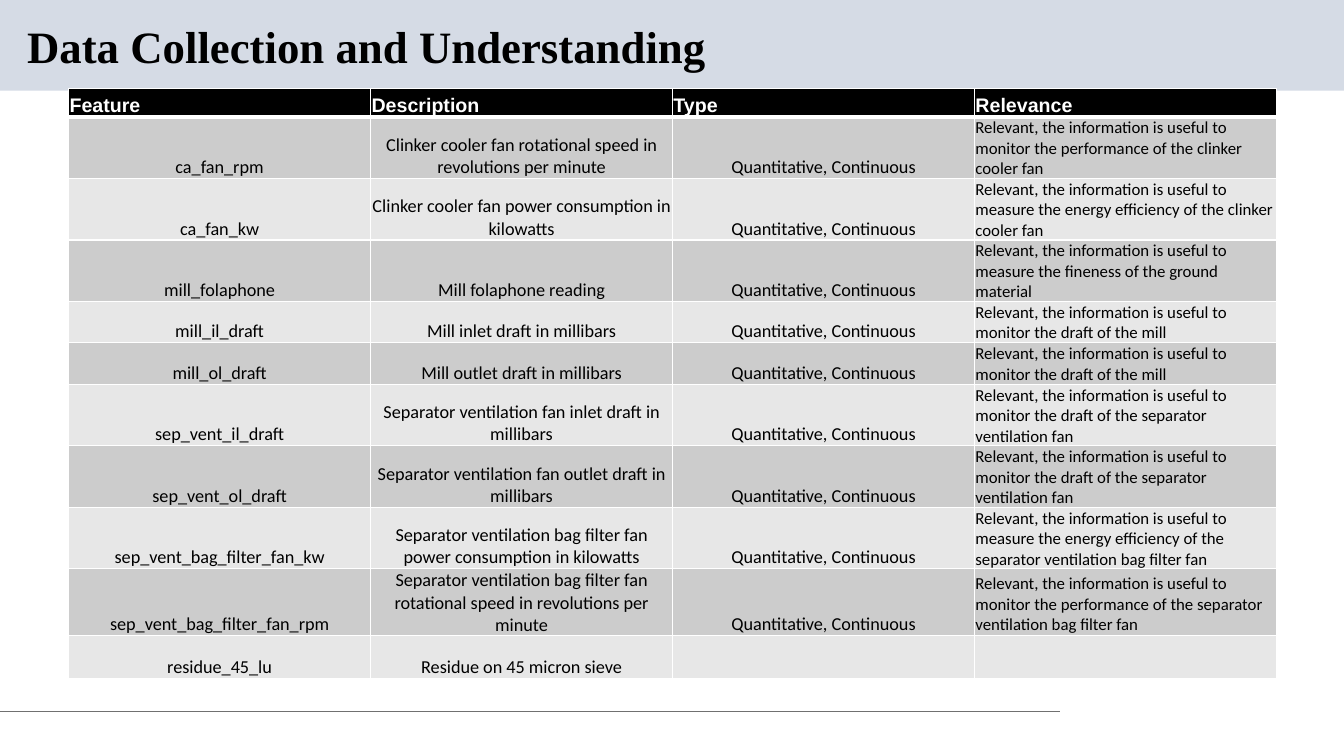
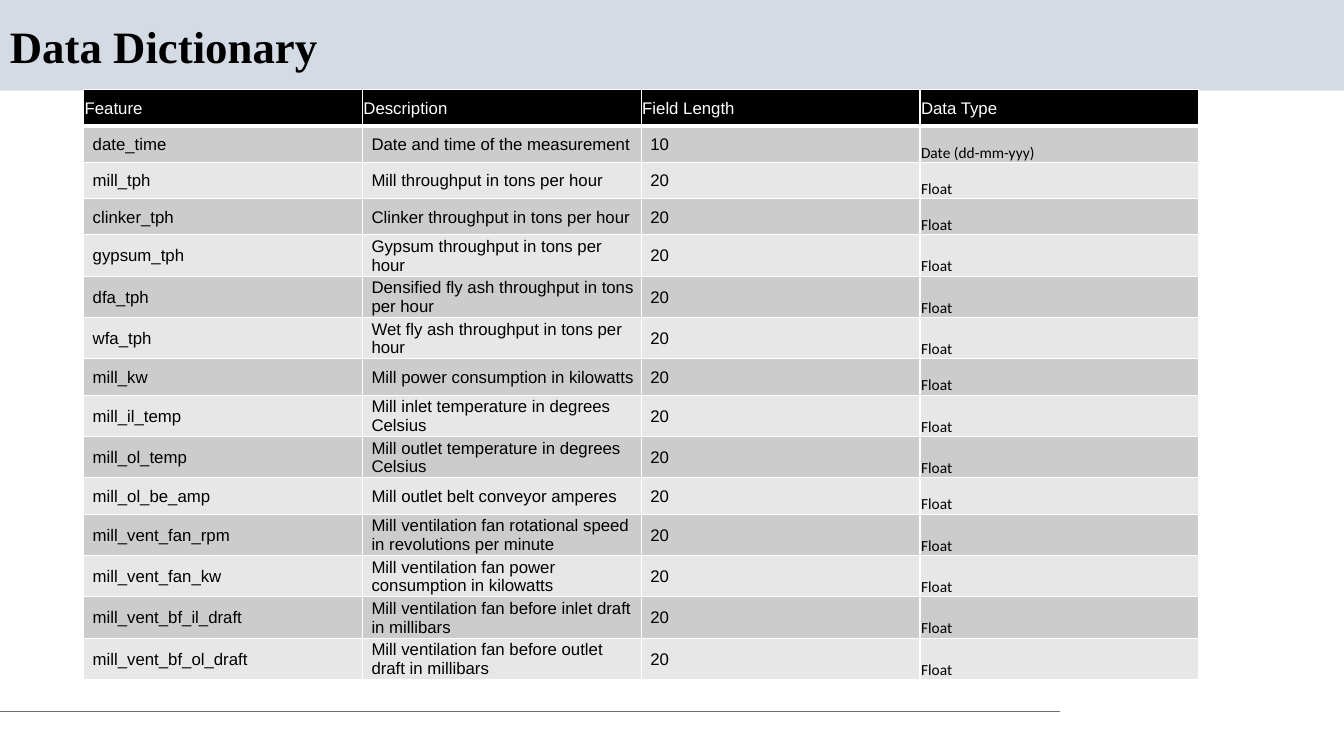
from dataclasses import dataclass

from pptx import Presentation
from pptx.dml.color import RGBColor
from pptx.enum.shapes import MSO_CONNECTOR, MSO_SHAPE
from pptx.enum.text import MSO_ANCHOR, PP_ALIGN
from pptx.oxml import parse_xml
from pptx.oxml.ns import nsdecls
from pptx.util import Inches, Pt

QUANT = "Quantitative, Continuous"
USE = "Relevant, the information is useful to "

FEATURES = [
    ("Feature", "Description", "Type", "Relevance"),
    ("ca_fan_rpm", "Clinker cooler fan rotational speed in revolutions per minute",
     QUANT, USE + "monitor the performance of the clinker cooler fan"),
    ("ca_fan_kw", "Clinker cooler fan power consumption in kilowatts",
     QUANT, USE + "measure the energy efficiency of the clinker cooler fan"),
    ("mill_folaphone", "Mill folaphone reading",
     QUANT, USE + "measure the fineness of the ground material"),
    ("mill_il_draft", "Mill inlet draft in millibars",
     QUANT, USE + "monitor the draft of the mill"),
    ("mill_ol_draft", "Mill outlet draft in millibars",
     QUANT, USE + "monitor the draft of the mill"),
    ("sep_vent_il_draft", "Separator ventilation fan inlet draft in millibars",
     QUANT, USE + "monitor the draft of the separator ventilation fan"),
    ("sep_vent_ol_draft", "Separator ventilation fan outlet draft in millibars",
     QUANT, USE + "monitor the draft of the separator ventilation fan"),
    ("sep_vent_bag_filter_fan_kw",
     "Separator ventilation bag filter fan power consumption in kilowatts",
     QUANT, USE + "measure the energy efficiency of the separator ventilation bag filter fan"),
    ("sep_vent_bag_filter_fan_rpm",
     "Separator ventilation bag filter fan rotational speed in revolutions per minute",
     QUANT, USE + "monitor the performance of the separator ventilation bag filter fan"),
    ("residue_45_lu", "Residue on 45 micron sieve", "", ""),
]
FEATURE_ROWS = [0.28, 0.61, 0.61, 0.61, 0.41, 0.41, 0.61, 0.61, 0.61, 0.65, 0.43]

FLOATS = [
    ("mill_tph", "Mill throughput in tons per hour"),
    ("clinker_tph", "Clinker throughput in tons per hour"),
    ("gypsum_tph", "Gypsum throughput in tons per hour"),
    ("dfa_tph", "Densified fly ash throughput in tons per hour"),
    ("wfa_tph", "Wet fly ash throughput in tons per hour"),
    ("mill_kw", "Mill power consumption in kilowatts"),
    ("mill_il_temp", "Mill inlet temperature in degrees Celsius"),
    ("mill_ol_temp", "Mill outlet temperature in degrees Celsius"),
    ("mill_ol_be_amp", "Mill outlet belt conveyor amperes"),
    ("mill_vent_fan_rpm", "Mill ventilation fan rotational speed in revolutions per minute"),
    ("mill_vent_fan_kw", "Mill ventilation fan power consumption in kilowatts"),
    ("mill_vent_bf_il_draft", "Mill ventilation fan before inlet draft in millibars"),
    ("mill_vent_bf_ol_draft", "Mill ventilation fan before outlet draft in millibars"),
]
FIELDS = [
    ("Feature", "Description", "Field Length", "Data Type"),
    ("date_time", "Date and time of the measurement", "10", "Date (dd-mm-yyy)"),
    *[(name, about, "20", "Float") for name, about in FLOATS],
]
FIELD_ROWS = [0.41 if len(row[1]) > 35 else 0.36 for row in FIELDS]


@dataclass(frozen=True)
class Theme:
    band: str = "D5DBE5"
    rule: str = "707070"
    head: str = "000000"
    ink: str = "000000"
    light: str = "FFFFFF"
    stripes: tuple = ("CCCCCC", "E7E7E7")
    title_font: str = "Times New Roman"
    title_size: int = 32
    thin: int = 1
    thick: int = 3


THEME = Theme()


@dataclass(frozen=True)
class Style:
    font: str
    size: int
    color: str = THEME.ink
    bold: bool = False
    align: PP_ALIGN = PP_ALIGN.LEFT
    anchor: MSO_ANCHOR = MSO_ANCHOR.BOTTOM
    left: float = 0.01


NAME = Style("Calibri", 13, align=PP_ALIGN.CENTER)
FEATURE_HEAD = Style("Arial", 14, THEME.light, bold=True)
FEATURE_BODY = [NAME, NAME, NAME, Style("Calibri", 12)]
FIELD = Style("Arial", 12, anchor=MSO_ANCHOR.MIDDLE, left=0.09)
FIELD_HEAD = Style("Arial", 12, THEME.light, anchor=MSO_ANCHOR.MIDDLE)
FIELD_BODY = [FIELD, FIELD, FIELD, Style("Calibri", 11)]


def color(code):
    return RGBColor.from_string(code)


def write(frame, text, style):
    frame.text = text
    para = frame.paragraphs[0]
    para.alignment = style.align
    for run in para.runs:
        font = run.font
        font.name, font.size, font.bold = style.font, Pt(style.size), style.bold
        font.color.rgb = color(style.color)


def add_base(deck, title, left):
    """Add a slide with the shared band, footer rule and title."""
    slide = deck.slides.add_slide(deck.slide_layouts[6])
    shapes = slide.shapes
    band = shapes.add_shape(MSO_SHAPE.RECTANGLE, 0, 0, deck.slide_width, Inches(0.9))
    band.shadow.inherit = False
    band.fill.solid()
    band.fill.fore_color.rgb = color(THEME.band)
    band.line.fill.background()

    rule = shapes.add_connector(
        MSO_CONNECTOR.STRAIGHT, 0, Inches(7.06), Inches(10.51), Inches(7.06))
    rule.line.color.rgb = color(THEME.rule)
    rule.line.width = Pt(0.75)
    rule._element.spPr.append(parse_xml(f"<a:effectLst {nsdecls('a')}/>"))

    box = shapes.add_textbox(Inches(left), Inches(0.19), Inches(11.5), Inches(0.59))
    frame = box.text_frame
    frame.word_wrap = True
    frame.vertical_anchor = MSO_ANCHOR.MIDDLE
    write(frame, title, Style(THEME.title_font, THEME.title_size, bold=True))
    frame.paragraphs[0].line_spacing = 0.9
    return slide


def set_edges(cell, top, bottom):
    props = cell._tc.get_or_add_tcPr()
    for side, width in zip("LRTB", (THEME.thin, THEME.thin, top, bottom)):
        props.append(parse_xml(
            f'<a:ln{side} {nsdecls("a")} w="{Pt(width)}"><a:solidFill>'
            f'<a:srgbClr val="{THEME.light}"/></a:solidFill></a:ln{side}>'))


def add_grid(slide, rows, heights, left, top, width, head, body):
    count = len(rows[0])
    grid = slide.shapes.add_table(
        len(rows), count, Inches(left), Inches(top),
        Inches(width), Inches(sum(heights))).table
    grid.horz_banding = False
    for col in grid.columns:
        col.width = Inches(width / count)
    for r, (row, height) in enumerate(zip(rows, heights)):
        grid.rows[r].height = Inches(height)
        styles = body if r else [head] * count
        fill = THEME.stripes[(r - 1) % 2] if r else THEME.head
        for c, (text, style) in enumerate(zip(row, styles)):
            cell = grid.cell(r, c)
            set_edges(cell, THEME.thick if r == 1 else THEME.thin,
                      THEME.thin if r else THEME.thick)
            cell.fill.solid()
            cell.fill.fore_color.rgb = color(fill)
            cell.margin_left = Inches(style.left)
            cell.margin_right = cell.margin_top = Inches(0.01)
            cell.margin_bottom = 0
            cell.vertical_anchor = style.anchor
            write(cell.text_frame, text, style)


def main():
    deck = Presentation()
    deck.slide_width, deck.slide_height = Inches(13.33), Inches(7.5)
    slide = add_base(deck, "Data Collection and Understanding", 0.17)
    add_grid(slide, FEATURES, FEATURE_ROWS, 0.68, 0.88, 11.98, FEATURE_HEAD, FEATURE_BODY)
    slide = add_base(deck, "Data Dictionary", 0)
    add_grid(slide, FIELDS, FIELD_ROWS, 0.83, 0.89, 11.06, FIELD_HEAD, FIELD_BODY)
    deck.save("out.pptx")


if __name__ == "__main__":
    main()
